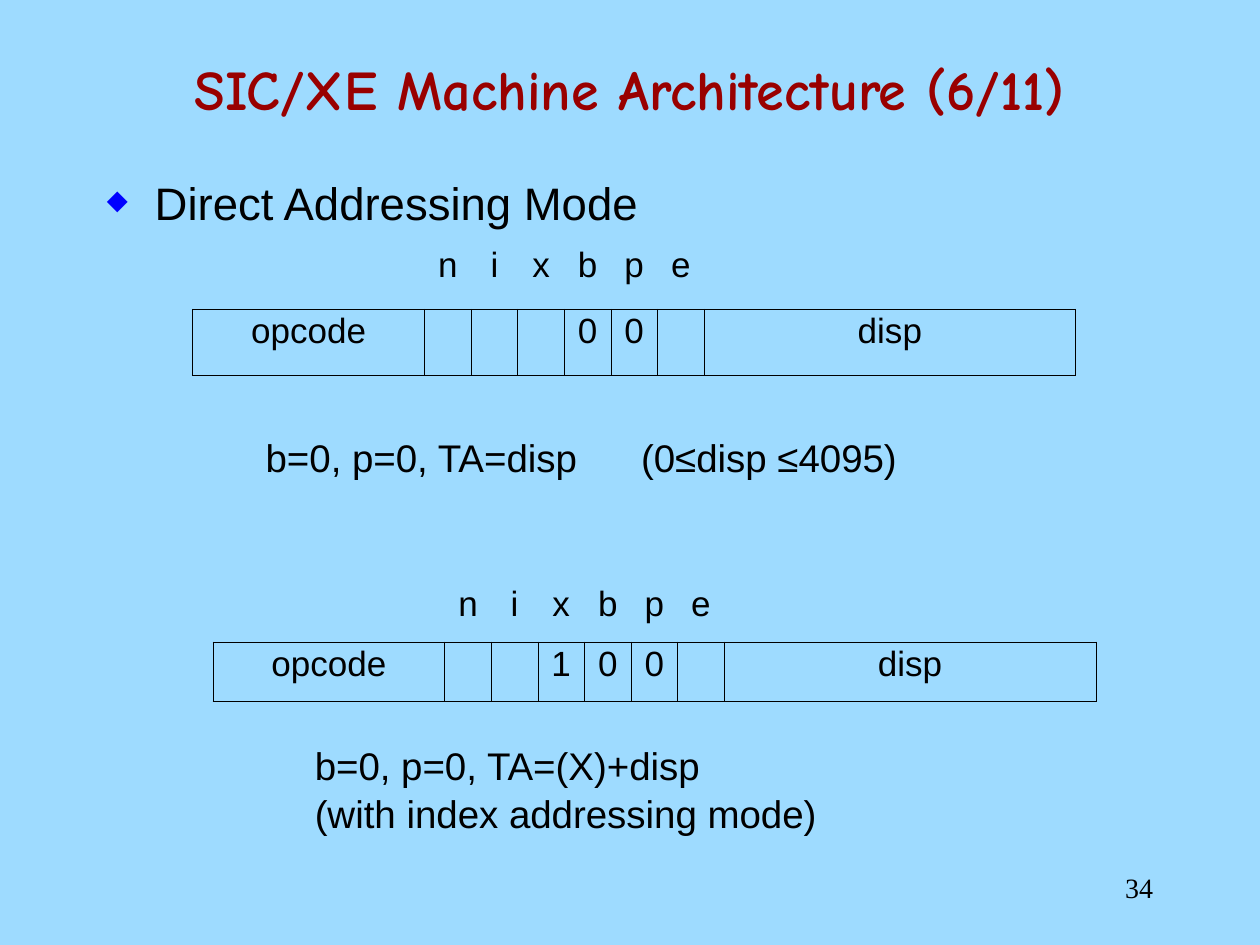
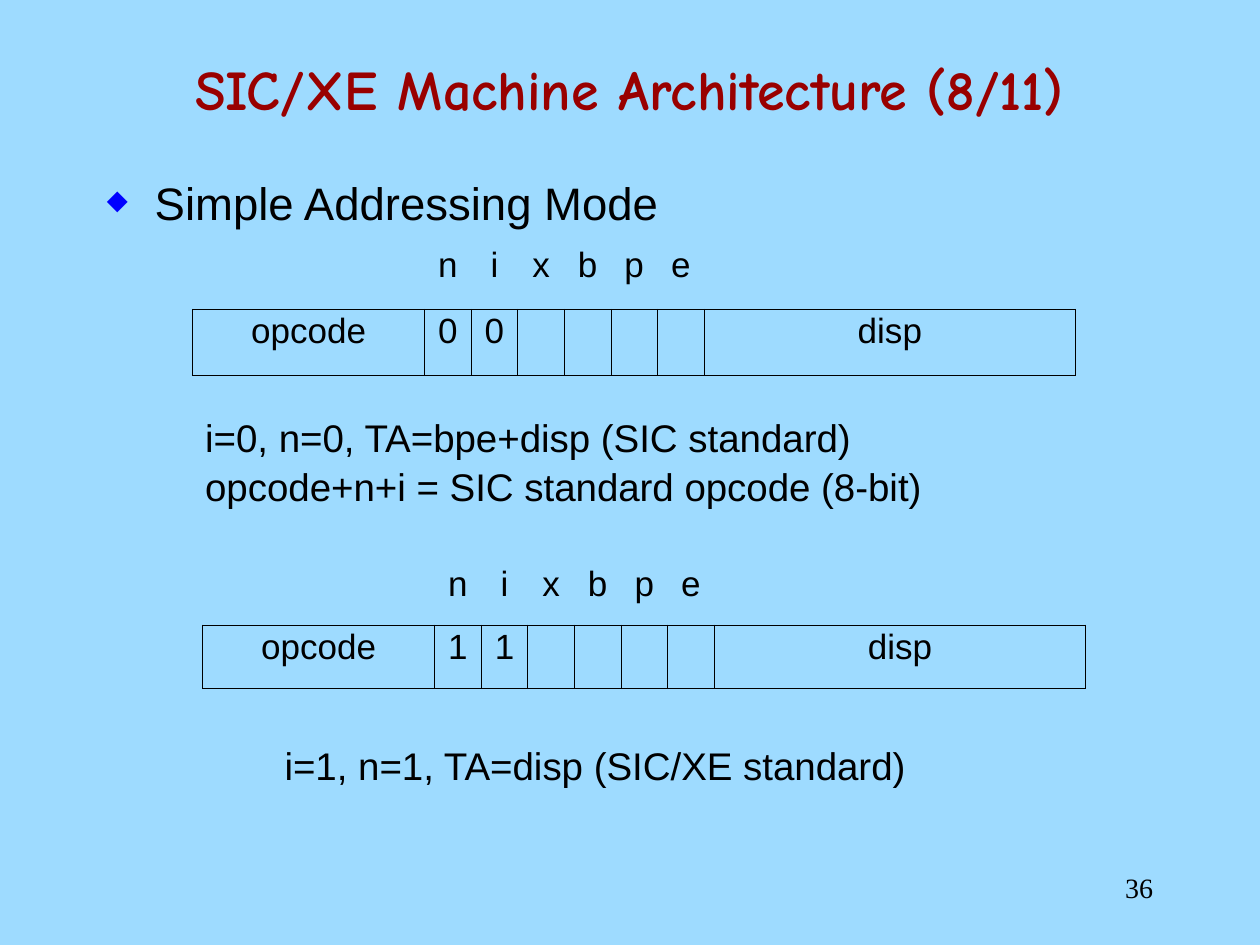
from dataclasses import dataclass

from lxml import etree
from pptx import Presentation
from pptx import util as u
from pptx.dml.color import RGBColor
from pptx.enum import text
from pptx.oxml import ns


@dataclass(frozen=True)
class Theme:
    background: str = "9EDBFF"
    ink: str = "000000"
    title_color: str = "990000"
    bullet_color: str = "0000FF"
    body_font: str = "Arial"
    title_font: str = "Comic Neue"
    number_font: str = "Times New Roman"
    title_size: int = 32
    heading_size: int = 26
    note_size: int = 22
    cell_size: int = 20
    number_size: int = 16
    border_width: float = 0.45
    line_spacing: float = 0.9


FLAGS = "nixbpe"
COLUMN_WIDTHS = [1.84] + [0.37] * len(FLAGS) + [2.95]


def add_xml(parent, tag, **attributes):
    return etree.SubElement(parent, ns.qn(tag), attributes)


class Deck:
    def __init__(self, theme):
        self.theme = theme
        self.prs = Presentation()
        self.prs.slide_width, self.prs.slide_height = u.Inches(10), u.Inches(7.5)
        fill = self.prs.slide_master.background.fill
        fill.solid()
        fill.fore_color.rgb = RGBColor.from_string(theme.background)
        self.s = None

    def style(self, p, size, font=None, color=None, bold=False, align=text.PP_ALIGN.LEFT):
        p.alignment = align
        p.font.size = u.Pt(size)
        p.font.name = font or self.theme.body_font
        p.font.bold = bold
        p.font.color.rgb = RGBColor.from_string(color or self.theme.ink)

    def text_box(self, left, top, width, height):
        sp = self.s.shapes.add_textbox(*map(u.Inches, (left, top, width, height)))
        sp.text_frame.word_wrap = True
        return sp.text_frame

    def slide(self, title, number):
        t = self.theme
        self.s = self.prs.slides.add_slide(self.prs.slide_layouts[5])
        self.number(number)
        sp = self.s.shapes.title
        sp.left, sp.top, sp.width, sp.height = map(u.Inches, (0.75, 0.25, 8.5, 0.9))
        tf = sp.text_frame
        tf.text = title
        tf.vertical_anchor = text.MSO_ANCHOR.MIDDLE
        self.style(tf.paragraphs[0], t.title_size, t.title_font, t.title_color,
                   True, text.PP_ALIGN.CENTER)

    def number(self, number):
        tf = self.text_box(8.17, 6.83, 1.08, 0.42)
        tf.text = str(number)
        tf.vertical_anchor = text.MSO_ANCHOR.MIDDLE
        self.style(tf.paragraphs[0], self.theme.number_size, self.theme.number_font,
                   align=text.PP_ALIGN.RIGHT)

    def heading(self, words):
        """Add the bulleted name of the addressing mode."""
        tf = self.text_box(0.75, 1.39, 8.5, 5.41)
        tf.text = words
        p = tf.paragraphs[0]
        pPr = p._p.get_or_add_pPr()
        indent = u.Inches(0.38)
        pPr.set("marL", str(indent))
        pPr.set("indent", str(-indent))
        add_xml(add_xml(pPr, "a:buClr"), "a:srgbClr", val=self.theme.bullet_color)
        add_xml(pPr, "a:buSzPct", val="60000")
        add_xml(pPr, "a:buChar", char="◆")
        p.line_spacing = self.theme.line_spacing
        self.style(p, self.theme.heading_size)

    def note(self, left, top, width, height, *lines, tab=None):
        tf = self.text_box(left, top, width, height)
        tf.text = "\n".join(lines)
        for i, p in enumerate(tf.paragraphs):
            if tab:
                tabs = add_xml(p._p.get_or_add_pPr(), "a:tabLst")
                add_xml(tabs, "a:tab", pos=str(u.Inches(tab)), algn="l")
            p.line_spacing = self.theme.line_spacing
            p.space_before = u.Pt(4.1 if i else 0)
            self.style(p, self.theme.note_size)

    def borders(self, cell, visible):
        """Rule the sides named in visible and clear the others."""
        tcPr = cell._tc.get_or_add_tcPr()
        for side in "LRTB":
            ln = add_xml(tcPr, f"a:ln{side}", w=str(u.Pt(self.theme.border_width)))
            if side in visible:
                add_xml(add_xml(ln, "a:solidFill"), "a:srgbClr", val=self.theme.ink)
            else:
                add_xml(ln, "a:noFill")
        cell.fill.background()

    def instruction_format(self, left, top, height, **bits):
        """Draw the flag names over one instruction word with the given bits."""
        rows = [["", *FLAGS, ""],
                ["opcode", *(str(bits.get(flag, "")) for flag in FLAGS), "disp"]]
        frame = self.s.shapes.add_table(
            len(rows), len(COLUMN_WIDTHS),
            *map(u.Inches, (left, top, sum(COLUMN_WIDTHS), height)))
        table = frame.table
        table.first_row = table.horz_banding = False
        for column, width in zip(table.columns, COLUMN_WIDTHS):
            column.width = u.Inches(width)
        for row, words, visible in zip(table.rows, rows, ("B", "LRTB")):
            for cell, word in zip(row.cells, words):
                cell.text = word
                p = cell.text_frame.paragraphs[0]
                p.line_spacing = self.theme.line_spacing
                self.style(p, self.theme.cell_size, align=text.PP_ALIGN.CENTER)
                self.borders(cell, visible)


def main():
    deck = Deck(Theme())

    deck.slide("SIC/XE Machine Architecture (6/11)", 34)
    deck.heading("Direct Addressing Mode")
    deck.instruction_format(1.53, 1.93, 1.05, b=0, p=0)
    deck.note(2.01, 3.44, 7.09, 0.63,
              "b=0, p=0, TA=disp\t(0≤disp ≤4095)", tab=2.98)
    deck.instruction_format(1.69, 4.62, 0.95, x=1, b=0, p=0)
    deck.note(2.4, 5.88, 5.83, 1.1,
              "b=0, p=0, TA=(X)+disp", "(with index addressing mode)")

    deck.slide("SIC/XE Machine Architecture (8/11)", 36)
    deck.heading("Simple Addressing Mode")
    deck.instruction_format(1.53, 1.93, 1.05, n=0, i=0)
    deck.note(1.53, 3.28, 7.01, 1.18,
              "i=0, n=0, TA=bpe+disp (SIC standard)",
              "opcode+n+i = SIC standard opcode (8-bit)")
    deck.instruction_format(1.61, 4.46, 1, n=1, i=1)
    deck.note(2.16, 5.88, 6.38, 0.63, "i=1, n=1, TA=disp (SIC/XE standard)")

    deck.prs.save("out.pptx")


if __name__ == "__main__":
    main()
